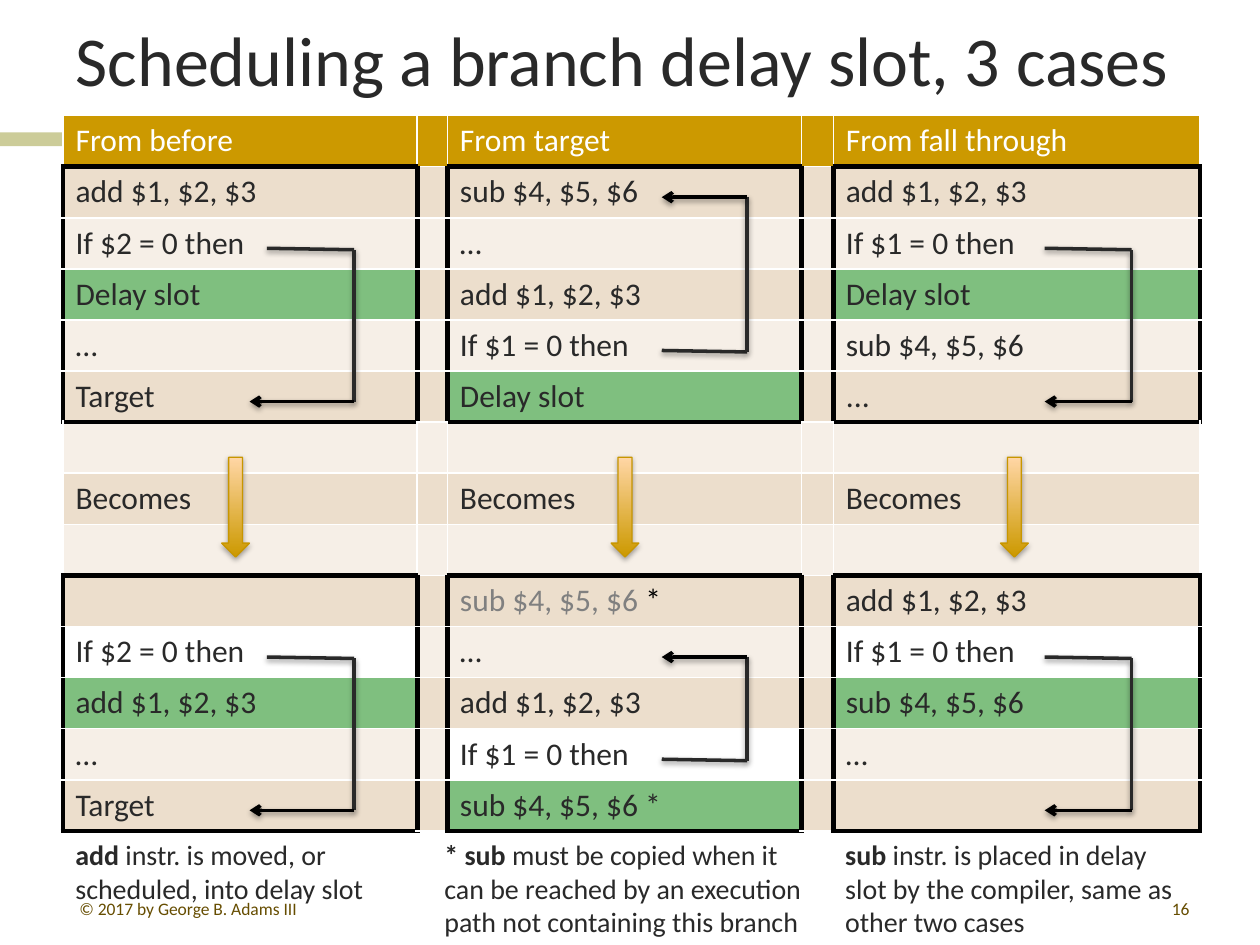
from dataclasses import dataclass
from itertools import accumulate

from lxml import etree
from pptx import Presentation
from pptx.dml.color import RGBColor
from pptx.enum import shapes, text
from pptx.oxml import ns
from pptx.util import Cm, Pt


@dataclass(frozen=True)
class Theme:
    font: str = "Calibri"
    ink: str = "292929"
    black: str = "000000"
    white: str = "FFFFFF"
    muted: str = "808080"
    footer: str = "664D00"
    gold: str = "CC9900"
    gold_line: str = "C89600"
    peach: str = "FFD6A5"
    olive: str = "CCCC99"
    green: str = "008000"
    bands: tuple = ("F6EFE7", "ECDECC")
    title_size: float = 40
    table_size: float = 18
    caption_size: float = 16
    footer_size: float = 10


THEME = Theme()
TITLE = "Scheduling a branch delay slot, 3 cases"
CASES = [
    ["From before",
     "add $1, $2, $3", "If $2 = 0 then", "Delay slot", "…", "Target",
     "", "Becomes", "",
     "", "If $2 = 0 then", "add $1, $2, $3", "…", "Target"],
    ["From target",
     "sub $4, $5, $6", "…", "add $1, $2, $3", "If $1 = 0 then", "Delay slot",
     "", "Becomes", "",
     "sub $4, $5, $6 *", "…", "add $1, $2, $3", "If $1 = 0 then", "sub $4, $5, $6 *"],
    ["From fall through",
     "add $1, $2, $3", "If $1 = 0 then", "Delay slot", "sub $4, $5, $6", "...",
     "", "Becomes", "",
     "add $1, $2, $3", "If $1 = 0 then", "sub $4, $5, $6", "…", ""],
]
DELAY_SLOTS = {(3, 0), (5, 1), (3, 2), (11, 0), (13, 1), (11, 2)}
MOVED_BRANCHES = {(10, 0), (12, 1), (10, 2)}
COPIED_INSTRUCTION = (9, 1)
BLOCK_STARTS, BLOCK_ENDS = (1, 9), (5, 13)
BLOCK_ROWS = {*range(1, 6), *range(9, 14)}

TABLE_LEFT, TABLE_TOP, ROW_HEIGHT = 1.27, 2.33, 1.03
COLUMN_WIDTHS = [7.14, 0.58, 7.14, 0.64, 7.39]

BEFORE, TARGET, FALL_THROUGH = (5.38, 7.14, 5.03), (13.34, 15.06, 13.34), (21.06, 22.81, 21.06)
JUMPS = [
    (BEFORE, 2, 5), (FALL_THROUGH, 2, 5), (TARGET, 4, 1),
    (BEFORE, 10, 13), (FALL_THROUGH, 10, 13), (TARGET, 12, 10),
]
CAPTIONS = [
    (1.27, 7.11, 1.63, "add", " instr. is moved, or scheduled, into delay slot"),
    (8.71, 8.08, 2.31, "* sub",
     " must be copied when it can be reached by an execution path not containing this branch"),
    (16.79, 7.11, 2.31, "sub",
     " instr. is placed in delay slot by the compiler, same as other two cases"),
]
FOOTERS = [
    (1.35, 5.51, "© 2017 by George B. Adams III", text.PP_ALIGN.LEFT),
    (18.95, 5.28, "16", text.PP_ALIGN.RIGHT),
]


def rgb(color):
    return RGBColor.from_string(color)


def add_run(paragraph, words, size, color=THEME.ink, bold=False):
    run = paragraph.add_run()
    run.text = words
    run.font.name = THEME.font
    run.font.size = Pt(size)
    run.font.bold = bold
    run.font.color.rgb = rgb(color)


def add_textbox(slide, left, top, width, height):
    frame = slide.shapes.add_textbox(Cm(left), Cm(top), Cm(width), Cm(height)).text_frame
    frame.word_wrap = True
    return frame


def add_child(parent, tag, **attributes):
    return etree.SubElement(parent, ns.qn(tag), {key: str(value) for key, value in attributes.items()})


def add_shadow(shape, opacity):
    effects = add_child(shape._element.spPr, "a:effectLst")
    shadow = add_child(effects, "a:outerShdw", blurRad=Pt(3.1), dist=Pt(1.6),
                       dir=5400000, rotWithShape=0)
    add_child(add_child(shadow, "a:srgbClr", val=THEME.black), "a:alpha", val=opacity * 1000)


def add_filled_shape(slide, kind, place, colors, angle=0):
    shape = slide.shapes.add_shape(kind, *(Cm(value) for value in place))
    if len(colors) == 1:
        shape.fill.solid()
        shape.fill.fore_color.rgb = rgb(colors[0])
    else:
        shape.fill.gradient()
        shape.fill.gradient_angle = angle
        for stop, color in zip(shape.fill.gradient_stops, colors):
            stop.color.rgb = rgb(color)
    shape.line.fill.background()
    return shape


def set_borders(cell, borders):
    properties = cell._tc.get_or_add_tcPr()
    for index, (side, (color, width)) in enumerate(borders.items()):
        line = etree.Element(ns.qn(f"a:ln{side}"), w=str(Pt(width)))
        add_child(add_child(line, "a:solidFill"), "a:srgbClr", val=color)
        properties.insert(index, line)


def cell_borders(row, is_gap):
    thin, thick = (THEME.white, 1), (THEME.black, 3)
    side = thick if row in BLOCK_ROWS else thin
    top = bottom = thin
    if not is_gap:
        top = thick if row in BLOCK_STARTS or row - 1 in BLOCK_ENDS else thin
        bottom = thick if row in BLOCK_ENDS or row + 1 in BLOCK_STARTS else thin
    return {"L": side, "R": side, "T": top, "B": bottom}


def fill_cell(cell, row, case):
    cell.fill.solid()
    color = THEME.gold if row == 0 else THEME.bands[row % 2]
    if (row, case) in DELAY_SLOTS:
        color = THEME.green
    elif (row, case) in MOVED_BRANCHES:
        color = THEME.white
    cell.fill.fore_color.rgb = rgb(color)
    if color == THEME.green:
        add_child(cell._tc.tcPr.find(".//" + ns.qn("a:srgbClr")), "a:alpha", val=50000)


def add_case_table(slide):
    row_count = len(CASES[0])
    table = slide.shapes.add_table(
        row_count, len(COLUMN_WIDTHS), Cm(TABLE_LEFT), Cm(TABLE_TOP),
        Cm(sum(COLUMN_WIDTHS)), Cm(ROW_HEIGHT * row_count)).table
    table.first_row = table.horz_banding = False
    for column, width in zip(table.columns, COLUMN_WIDTHS):
        column.width = Cm(width)
    for row in range(row_count):
        table.rows[row].height = Cm(ROW_HEIGHT)
        for column in range(len(COLUMN_WIDTHS)):
            cell = table.cell(row, column)
            case, is_gap = divmod(column, 2)
            fill_cell(cell, row, None if is_gap else case)
            set_borders(cell, cell_borders(row, is_gap))
            paragraph = cell.text_frame.paragraphs[0]
            paragraph.font.size = Pt(THEME.table_size)
            words = "" if is_gap else CASES[case][row]
            if (row, case) == COPIED_INSTRUCTION and not is_gap:
                add_run(paragraph, words[:-1], THEME.table_size, THEME.muted)
                add_run(paragraph, words[-1], THEME.table_size, THEME.black)
            elif words:
                add_run(paragraph, words, THEME.table_size, THEME.ink if row else THEME.white)


def add_jump(slide, route, start_row, end_row):
    start, stem, tip = route
    start_y, end_y = (TABLE_TOP + ROW_HEIGHT * (row + 0.5) + 0.1 for row in (start_row, end_row))
    points = [(start, start_y), (stem, start_y + 0.03), (stem, end_y), (tip, end_y)]
    for begin, end in zip(points, points[1:]):
        line = slide.shapes.add_connector(
            shapes.MSO_CONNECTOR.STRAIGHT, *(Cm(value) for value in begin + end))
        is_tip = end == points[-1]
        line.line.width = Pt(2)
        line.line.color.rgb = rgb(THEME.black if is_tip else THEME.ink)
        if is_tip:
            add_child(line.line._get_or_add_ln(), "a:tailEnd", type="arrow")
        add_shadow(line, 38)


def main():
    presentation = Presentation()
    presentation.slide_width, presentation.slide_height = Cm(25.4), Cm(19.05)
    slide = presentation.slides.add_slide(presentation.slide_layouts[5])

    rectangle = shapes.MSO_SHAPE.RECTANGLE
    for place, colors in [((0, 2.67, 5.92, 0.28), [THEME.olive]),
                          ((4.01, 2.67, 20.12, 0.28), [THEME.olive, THEME.white])]:
        add_filled_shape(slide, rectangle, place, colors).shadow.inherit = False

    title = slide.shapes.title
    title.left, title.top, title.width, title.height = Cm(1.27), Cm(0.25), Cm(22.86), Cm(1.91)
    title.text_frame.vertical_anchor = text.MSO_ANCHOR.BOTTOM
    title.text_frame.paragraphs[0].alignment = text.PP_ALIGN.LEFT
    add_run(title.text_frame.paragraphs[0], TITLE, THEME.title_size)

    add_case_table(slide)
    for jump in JUMPS:
        add_jump(slide, *jump)

    for left in accumulate([4.47, 7.85, 7.85]):
        arrow = add_filled_shape(slide, shapes.MSO_SHAPE.DOWN_ARROW, (left, 9.22, 0.56, 2.01),
                                 [THEME.gold, THEME.peach], 90)
        arrow.line.color.rgb = rgb(THEME.gold_line)
        arrow.line.width = Pt(0.75)
        add_shadow(arrow, 35)

    for left, width, height, instruction, remark in CAPTIONS:
        paragraph = add_textbox(slide, left, 16.76, width, height).paragraphs[0]
        add_run(paragraph, instruction, THEME.caption_size, bold=True)
        add_run(paragraph, remark, THEME.caption_size)

    for left, width, words, alignment in FOOTERS:
        frame = add_textbox(slide, left, 18.06, width, 0.53)
        frame.vertical_anchor = text.MSO_ANCHOR.MIDDLE
        frame.paragraphs[0].alignment = alignment
        add_run(frame.paragraphs[0], words, THEME.footer_size, THEME.footer)

    presentation.save("out.pptx")


if __name__ == "__main__":
    main()
